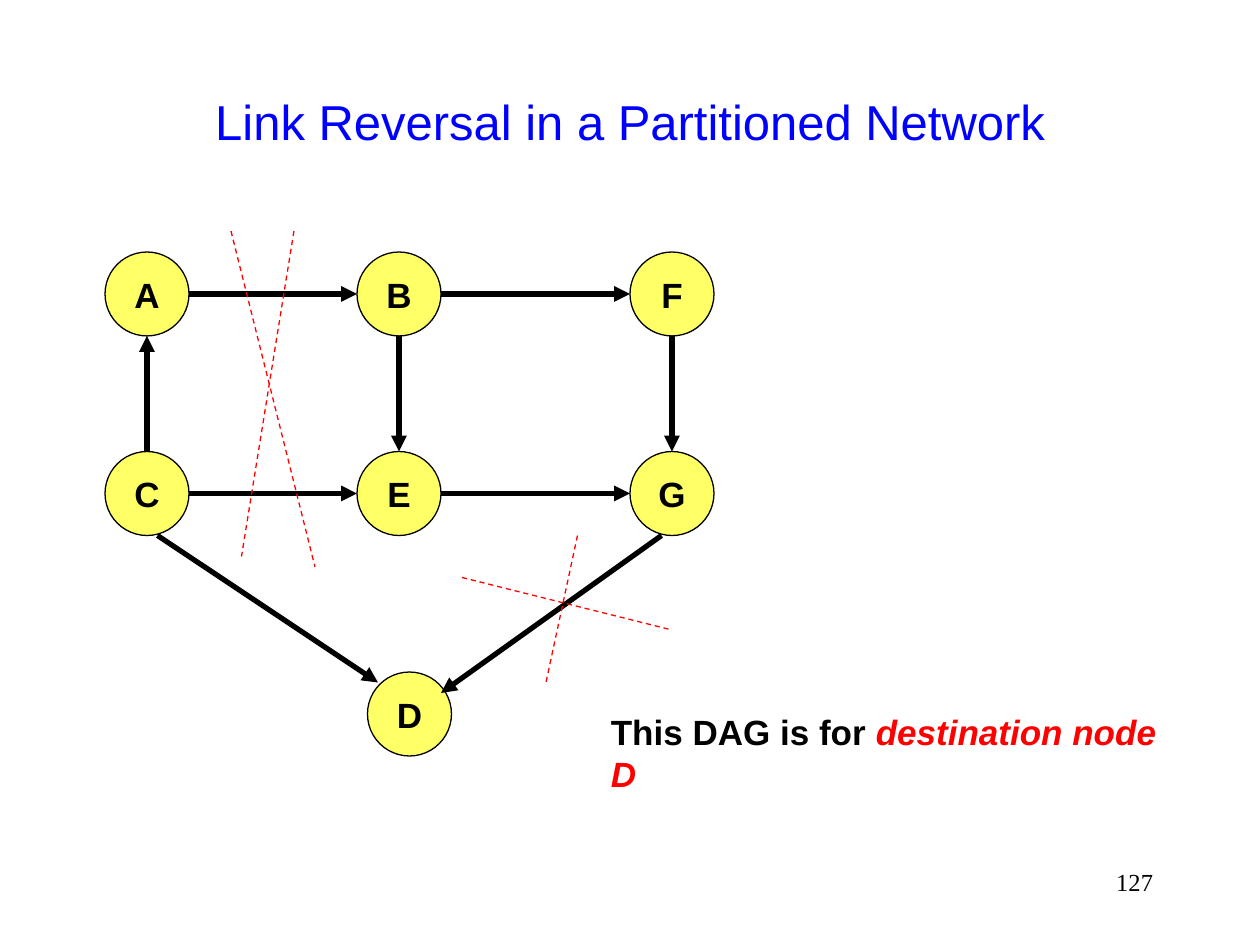
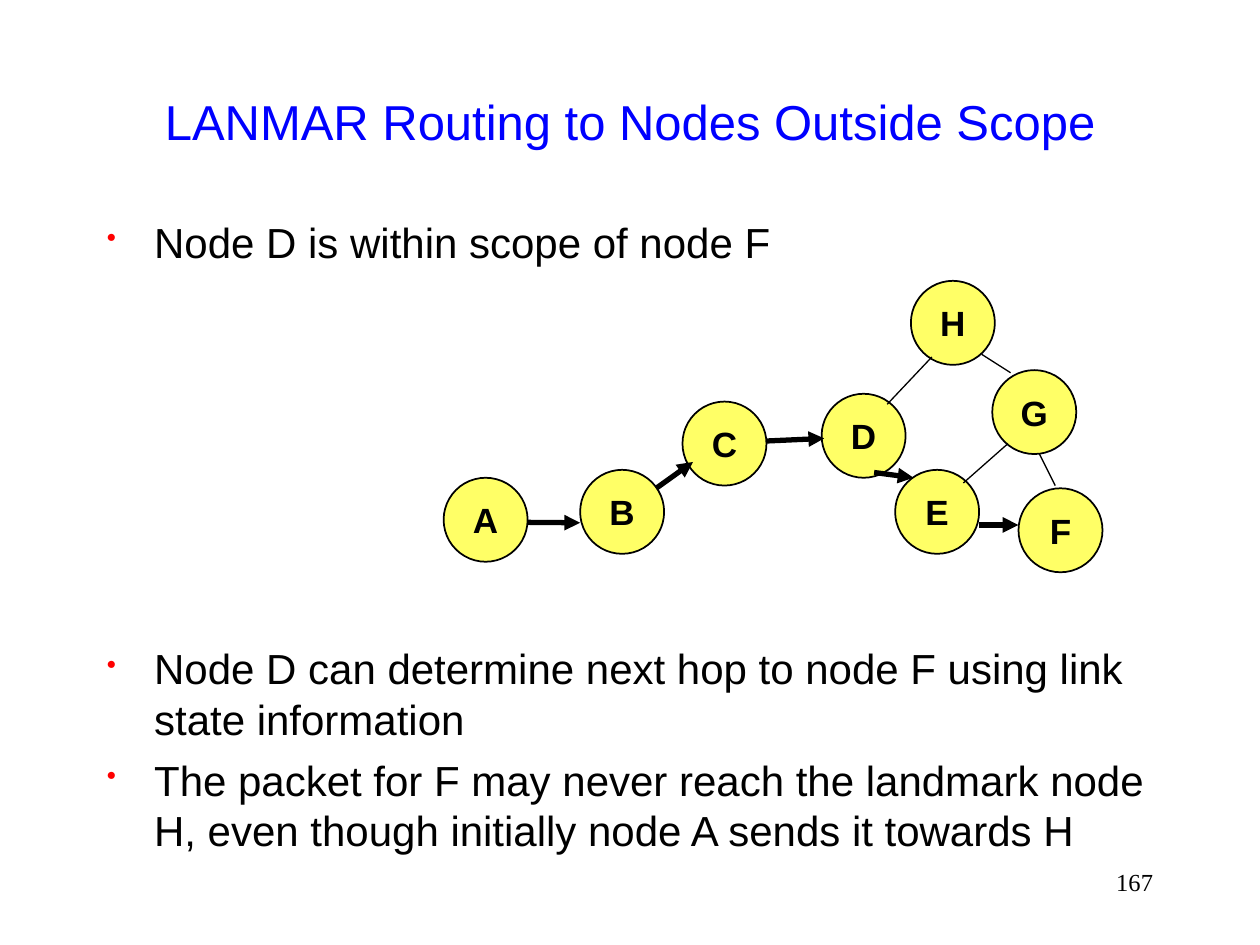
import pptx
import pptx.dml.color
import pptx.enum.dml
import pptx.enum.shapes
import pptx.enum.text
import pptx.oxml
import pptx.oxml.ns
import pptx.util
from lxml import etree

Pt = pptx.util.Pt
Rgb = pptx.dml.color.RGBColor.from_string
Align = pptx.enum.text.PP_ALIGN
Anchor = pptx.enum.text.MSO_ANCHOR
Shape = pptx.enum.shapes.MSO_SHAPE
Join = pptx.enum.shapes.MSO_CONNECTOR
Dash = pptx.enum.dml.MSO_LINE
qn = pptx.oxml.ns.qn


class Theme:
    ink, blue, red, node = "000000", "0000FF", "FF0000", "FFFF66"
    title = {"name": "Arial", "size": Pt(28), "bold": False}
    body = {"name": "Arial", "size": Pt(24), "bold": False}
    label = {"name": "Arial", "size": Pt(20), "bold": True}
    stress = {**label, "italic": True}
    number = {"name": "Times New Roman", "size": Pt(14)}
    # colour, width, dash, arrowhead
    lines = {
        "arrow": (ink, 3, None, True),
        "link": (ink, 0.75, None, False),
        "cut": (red, 0.75, Dash.DASH, False),
    }


def write(par, text, style, color=Theme.ink):
    run = par.add_run()
    run.text = text
    for key, value in style.items():
        setattr(run.font, key, value)
    run.font.color.rgb = Rgb(color)


def draw(slide, kind, ends):
    color, width, dash, arrow = Theme.lines[kind]
    line = slide.shapes.add_connector(Join.STRAIGHT, *[Pt(end) for end in ends])
    line.line.color.rgb = Rgb(color)
    line.line.width = Pt(width)
    if dash:
        line.line.dash_style = dash
    if arrow:
        etree.SubElement(line.line._get_or_add_ln(), qn("a:tailEnd"), type="triangle")
    etree.SubElement(line._element.spPr, qn("a:effectLst"))


SIZE = 48
HALF = SIZE / 2

grid = {name: (x, y)
        for y, row in ((144, "ABF"), (258, "CEG"))
        for x, name in zip((60, 204, 360), row)}
grid["D"] = (210, 384)

chain = {
    "A": (253.5, 273), "B": (331.5, 268.5), "C": (390, 229.5),
    "F": (582, 279), "H": (520.5, 160.5), "G": (567, 211.5),
    "E": (511.5, 268.5), "D": (469.5, 225),
}

# Grid arrows run from rim to rim along a row or a column.
steps = []
for start, stop in ("CA", "BE", "FG", "AB", "BF", "CE", "EG"):
    (x1, y1), (x2, y2) = grid[start], grid[stop]
    dx = HALF * ((x2 > x1) - (x2 < x1))
    dy = HALF * ((y2 > y1) - (y2 < y1))
    steps.append((x1 + HALF + dx, y1 + HALF + dy, x2 + HALF - dx, y2 + HALF - dy))

# Each bullet has the space above it; the wide gap holds the chain.
points = [
    ("Node D is within scope of node F", 6),
    ("Node D can determine next hop to node F using link state information", 215),
    ("The packet for F may never reach the landmark node H, "
     "even though initially node A sends it towards H", 6),
]

pages = [
    {
        "title": "Link Reversal in a Partitioned Network",
        "number": "127",
        "points": [],
        "nodes": grid,
        "rim": 0.75,
        "lines": {
            "arrow": steps + [(90, 306, 216, 390), (378, 306, 252, 396)],
            "cut": [(264, 330, 384, 360), (330, 306, 312, 390),
                    (132, 132, 180, 324), (168, 132, 138, 318)],
        },
    },
    {
        "title": "LANMAR Routing to Nodes Outside Scope",
        "number": "167",
        "points": points,
        "nodes": chain,
        "rim": 1,
        "lines": {
            "link": [(561, 202.5, 577.5, 213), (594, 259.5, 603, 277.5),
                     (532.5, 204, 507, 231), (550.5, 276, 576, 253.5)],
            "arrow": [(301.5, 298.5, 331.5, 298.75), (375, 279, 396, 264),
                      (438, 252, 471, 250.5), (559.5, 300, 582, 300),
                      (499.5, 270, 522, 273)],
        },
    },
]

deck = pptx.Presentation()
deck.slide_width, deck.slide_height = Pt(720), Pt(540)

for page in pages:
    slide = deck.slides.add_slide(deck.slide_layouts[5])

    title = slide.shapes.title
    title.left, title.top, title.width, title.height = Pt(54), Pt(24), Pt(612), Pt(90)
    title.text_frame.vertical_anchor = Anchor.MIDDLE
    par = title.text_frame.paragraphs[0]
    par.alignment = Align.CENTER
    write(par, page["title"], Theme.title, Theme.blue)

    if page["points"]:
        body = slide.shapes.add_textbox(Pt(54), Pt(120), Pt(612), Pt(376))
        frame = body.text_frame
        frame.word_wrap = True
        for i, (text, gap) in enumerate(page["points"]):
            par = frame.add_paragraph() if i else frame.paragraphs[0]
            par.space_before = Pt(gap)
            props = par._p.get_or_add_pPr()
            props.set("marL", str(Pt(27)))
            props.set("indent", str(-Pt(27)))
            tint = etree.SubElement(props, qn("a:buClr"))
            etree.SubElement(tint, qn("a:srgbClr"), val=Theme.red)
            etree.SubElement(props, qn("a:buSzPct"), val="65000")
            etree.SubElement(props, qn("a:buChar"), char="•")
            write(par, text, Theme.body)

    for name, (x, y) in page["nodes"].items():
        node = slide.shapes.add_shape(Shape.OVAL, Pt(x), Pt(y), Pt(SIZE), Pt(SIZE))
        node.shadow.inherit = False
        node.fill.solid()
        node.fill.fore_color.rgb = Rgb(Theme.node)
        node.line.color.rgb = Rgb(Theme.ink)
        node.line.width = Pt(page["rim"])
        node.text_frame.word_wrap = False
        node.text_frame.vertical_anchor = Anchor.MIDDLE
        par = node.text_frame.paragraphs[0]
        par.alignment = Align.CENTER
        write(par, name, Theme.label)

    for kind, group in page["lines"].items():
        for ends in group:
            draw(slide, kind, ends)

    number = slide.shapes.add_textbox(Pt(516), Pt(492), Pt(150), Pt(36))
    number.text_frame.word_wrap = True
    par = number.text_frame.paragraphs[0]
    par.alignment = Align.RIGHT
    write(par, page["number"], Theme.number)

# Caption under the partitioned network
note = deck.slides[0].shapes.add_textbox(Pt(342), Pt(414), Pt(345.5), Pt(31.5))
note.text_frame.word_wrap = False
note.text_frame.vertical_anchor = Anchor.MIDDLE
par = note.text_frame.paragraphs[0]
write(par, "This DAG is for ", Theme.label)
write(par, "destination node D", Theme.stress, Theme.red)

deck.save("out.pptx")
